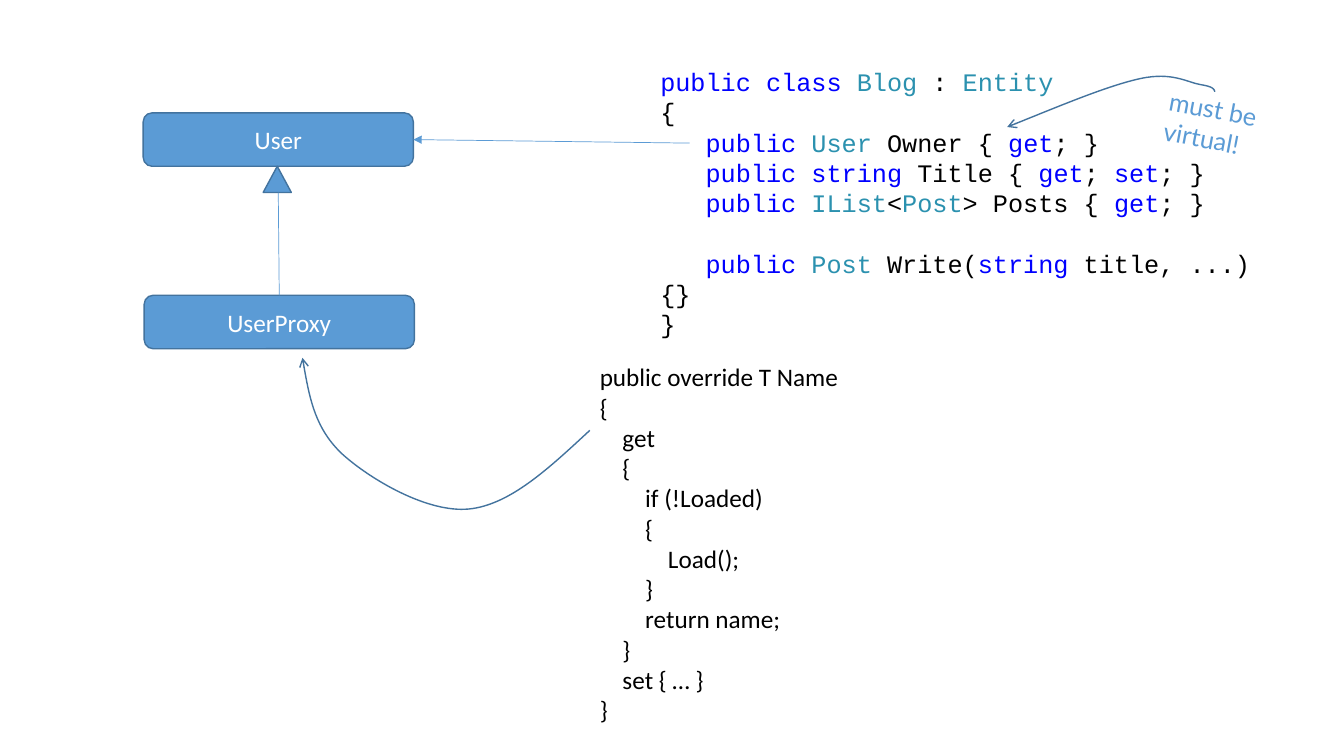
from lxml.etree import SubElement
from pptx import Presentation
from pptx.dml.color import RGBColor
from pptx.enum.shapes import MSO_CONNECTOR, MSO_SHAPE
from pptx.enum.text import MSO_ANCHOR, PP_ALIGN
from pptx.oxml.ns import qn
from pptx.util import Pt

PX = 9144  # 100 px to the inch
BLACK = RGBColor(0, 0, 0)
WHITE = RGBColor(255, 255, 255)
BLUE = RGBColor(0x5B, 0x9B, 0xD5)
DARK_BLUE = RGBColor(0x43, 0x73, 0x9E)
KEYWORD = RGBColor(0, 0, 255)
TYPE = RGBColor(0x2B, 0x91, 0xAF)

# Pieces of a line are separated by "|" and coloured by what they are
CODE_COLOURS = {word: KEYWORD for word in ("public", "class", "string", "get", "set")}
CODE_COLOURS.update({word: TYPE for word in ("Blog", "Entity", "User", "IList", "Post")})
BLOG_CODE = [
    "public| |class| |Blog| : |Entity",
    "{",
    "   |public| |User| Owner { |get|; }",
    "   |public| |string| Title { |get|; |set|; }",
    "   |public| |IList|<|Post|> Posts { |get|; }",
    "   |public| |Post| Write(|string| title, ...) {}",
    "}",
]
PROXY_CODE = [
    "public override T Name",
    "{",
    "    get",
    "    {",
    "        if (!Loaded)",
    "        {",
    "            Load();",
    "        }",
    "        return name;",
    "    }",
    "    set { … }",
    "}",
]
LINE_HEIGHT = Pt(21.6)


def add_text(left, top, width, height, lines, font, wrap=True, colour=BLACK, colours={}):
    box = slide.shapes.add_textbox(left * PX, top * PX, width * PX, height * PX)
    frame = box.text_frame
    frame.word_wrap = wrap
    for index, line in enumerate(lines):
        para = frame.paragraphs[0] if index == 0 else frame.add_paragraph()
        para.line_spacing = LINE_HEIGHT
        for piece in line.split("|"):
            span = para.add_run()
            span.text = piece
            span.font.name = font
            span.font.size = Pt(18)
            span.font.color.rgb = colours.get(piece, colour)
    return box


def style_line(shape, colour, points, **ends):
    """Colour the outline, drop the shadow and add headEnd or tailEnd arrows."""
    shape.line.color.rgb = colour
    shape.line.width = Pt(points)
    for end, kind in ends.items():
        SubElement(shape.line._get_or_add_ln(), qn(f"a:{end}"), type=kind)
    properties = shape._element.spPr
    if properties.find(qn("a:effectLst")) is None:
        SubElement(properties, qn("a:effectLst"))


deck = Presentation()
deck.slide_width, deck.slide_height = 1333 * PX, 750 * PX
slide = deck.slides.add_slide(deck.slide_layouts[6])

# Blog class, with a gap of one line above its method
blog = add_text(645, 61, 608, 252, BLOG_CODE, "Courier New", colours=CODE_COLOURS)
blog.text_frame.paragraphs[5].space_before = LINE_HEIGHT

# Class boxes and the inheritance triangle
nodes = {}
for name, kind, left, top, width, height in [
    ("User", MSO_SHAPE.ROUNDED_RECTANGLE, 142, 112, 268, 53),
    ("UserProxy", MSO_SHAPE.ROUNDED_RECTANGLE, 143, 293, 268, 53),
    ("", MSO_SHAPE.ISOSCELES_TRIANGLE, 261, 165, 28, 26),
]:
    node = slide.shapes.add_shape(kind, left * PX, top * PX, width * PX, height * PX)
    node.shadow.inherit = False
    node.fill.solid()
    node.fill.fore_color.rgb = BLUE
    style_line(node, DARK_BLUE, 1)
    if name:
        nodes[name] = node
        node.text_frame.vertical_anchor = MSO_ANCHOR.MIDDLE
        para = node.text_frame.paragraphs[0]
        para.alignment = PP_ALIGN.CENTER
        span = para.add_run()
        span.text = name
        span.font.name = "Calibri"
        span.font.size = Pt(18)
        span.font.color.rgb = WHITE

# Straight connectors: Owner to User, triangle to UserProxy
for start, end, target, side, ends in [
    ((684, 142), (410, 139), "User", 3, {"tailEnd": "triangle"}),
    ((276, 191), (277, 293), "UserProxy", 0, {}),
]:
    link = slide.shapes.add_connector(
        MSO_CONNECTOR.STRAIGHT, *(value * PX for value in start + end))
    link.end_connect(nodes[target], side)
    style_line(link, BLUE, 0.5, **ends)

add_text(585, 354, 259, 374, PROXY_CODE, "Calibri", wrap=False)

# Curved arrows: a start, then three points for each Bézier segment
for points, ends in [
    ([(585, 427), (545, 464), (506, 501), (465, 505), (424, 509), (368, 476),
      (340, 451), (313, 426), (306, 391), (300, 355)], {"tailEnd": "arrow"}),
    ([(999, 126), (1049, 106), (1099, 85), (1131, 78), (1163, 71), (1178, 82),
      (1191, 84), (1203, 86), (1204, 88), (1205, 91)], {"headEnd": "arrow"}),
]:
    builder = slide.shapes.build_freeform(*points[0], scale=PX)
    builder.add_line_segments(points[1:], close=False)
    curve = builder.convert_to_shape()
    curve.fill.background()
    style_line(curve, DARK_BLUE, 1, **ends)
    segments = list(curve._element.iter(qn("a:lnTo")))
    outline = segments[0].getparent()
    for first in range(0, len(segments), 3):
        bezier = SubElement(outline, qn("a:cubicBezTo"))
        for segment in segments[first:first + 3]:
            bezier.append(segment[0])
            outline.remove(segment)

note = add_text(1149, 93, 161, 40, ["must be virtual!"], "Lato", colour=BLUE)
note.rotation = 10.7

deck.save("out.pptx")
